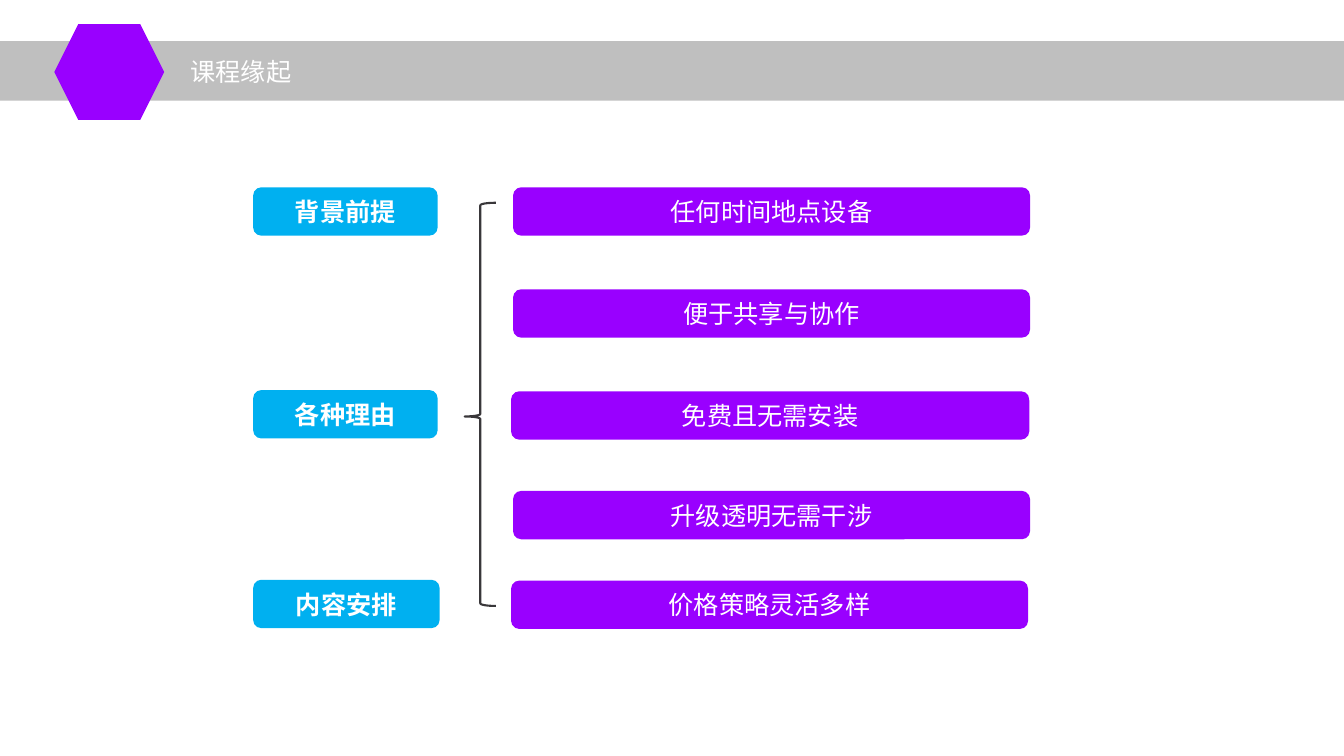
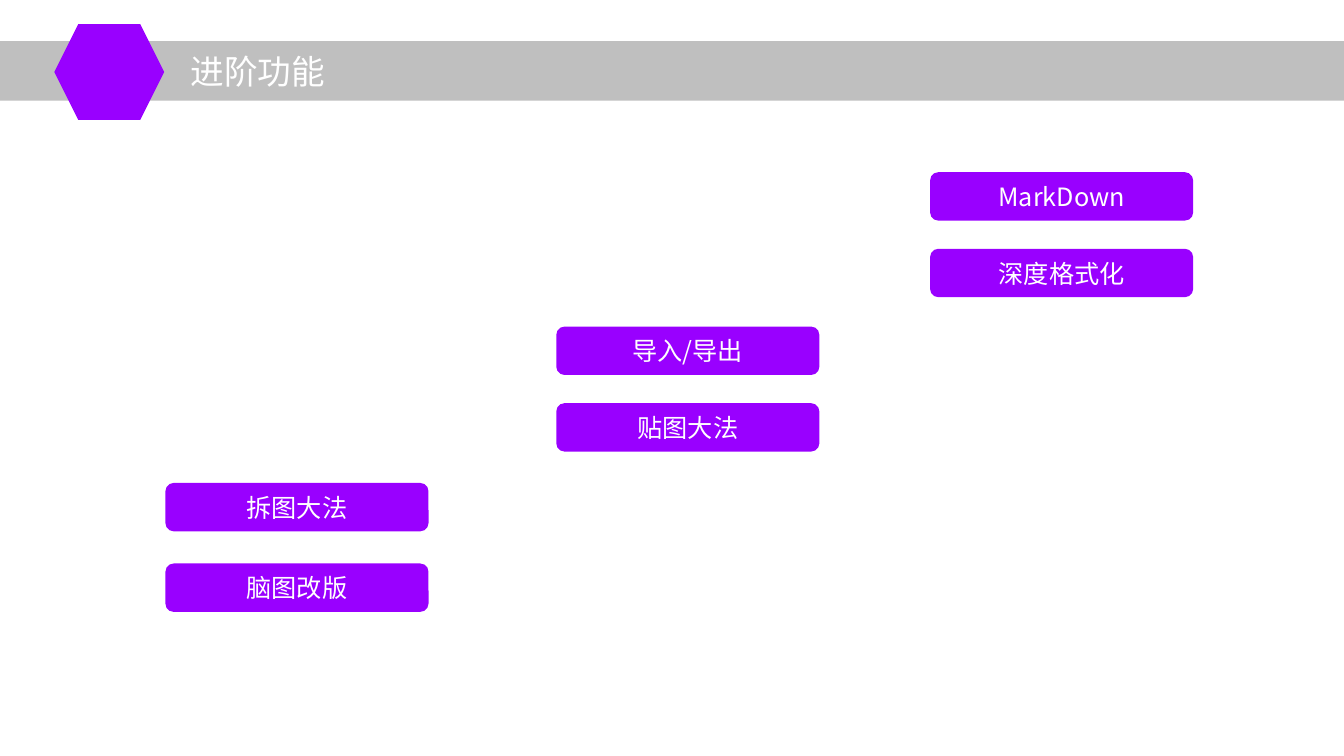
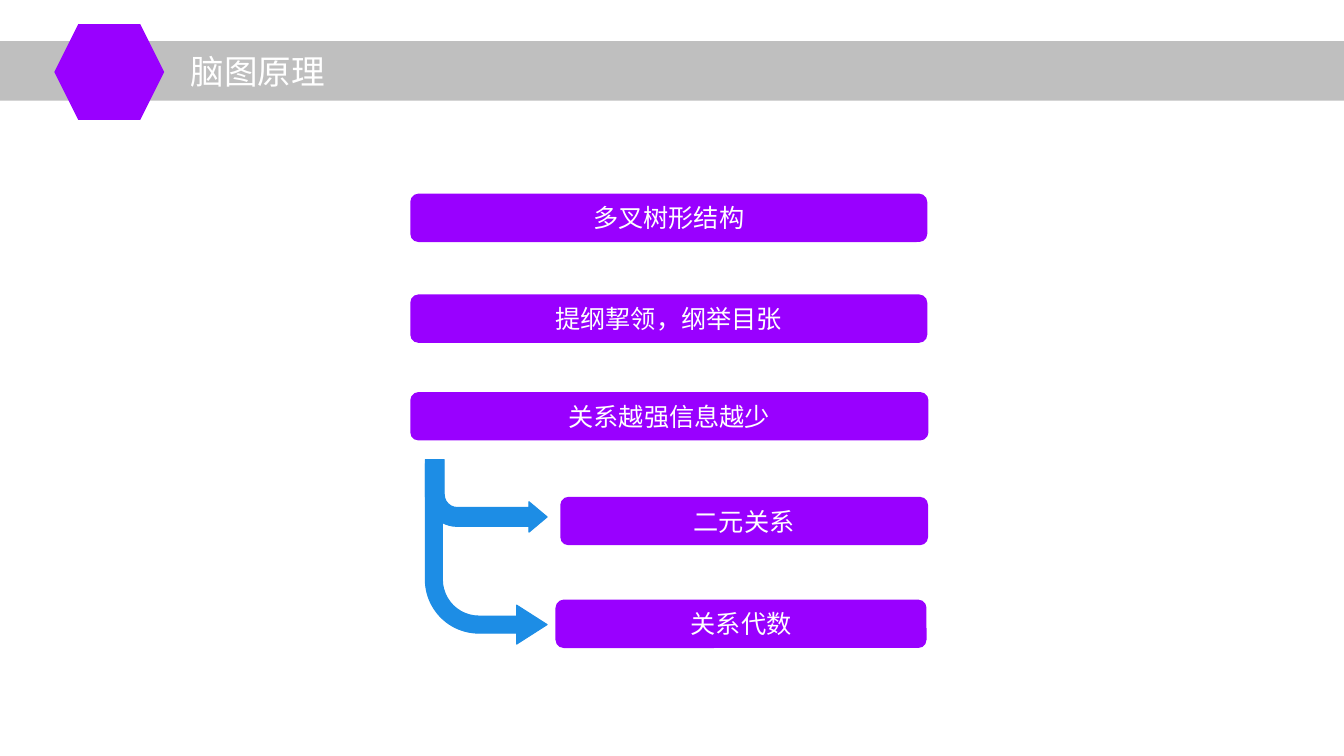
from dataclasses import dataclass

from lxml.etree import SubElement
from pptx import Presentation
from pptx.dml.color import RGBColor
from pptx.enum.shapes import MSO_SHAPE
from pptx.enum.text import MSO_ANCHOR, PP_ALIGN
from pptx.oxml.ns import qn
from pptx.shapes.autoshape import Shape
from pptx.slide import Slide
from pptx.text.text import TextFrame
from pptx.util import Cm, Pt

FONT = "Noto Sans CJK SC"
HUES = {
    "band": "BFBFBF",
    "main": "9900FF",
    "label": "00B0F0",
    "arrow": "1D8DE5",
    "brace": "39373A",
    "text": "FFFFFF",
}
WIDTH, HEIGHT = 33.87, 19.05
BAND_TOP, BAND_TALL = 1.04, 1.5
PILL_TALL = 1.22


@dataclass(frozen=True)
class Box:
    left: float
    top: float
    width: float
    height: float


@dataclass(frozen=True)
class Pill:
    text: str
    left: float
    top: float
    width: float
    hue: str = "main"
    bold: bool = False


@dataclass(frozen=True)
class Arrow:
    box: Box
    bends: tuple[float, ...]


@dataclass(frozen=True)
class Page:
    title: str
    size: int
    pills: tuple[Pill, ...]
    arrows: tuple[Arrow, ...] = ()
    brace: Box | None = None


def tint(name: str) -> RGBColor:
    return RGBColor.from_string(HUES[name])


def place(box: Box) -> tuple[Cm, Cm, Cm, Cm]:
    return Cm(box.left), Cm(box.top), Cm(box.width), Cm(box.height)


def add_form(slide: Slide, kind: MSO_SHAPE, box: Box, fill: str = "",
             line: str = "", weight: float = 0.75,
             bends: tuple[float, ...] = ()) -> Shape:
    form = slide.shapes.add_shape(kind, *place(box))
    form.shadow.inherit = False
    if fill:
        form.fill.solid()
        form.fill.fore_color.rgb = tint(fill)
    else:
        form.fill.background()
    if line:
        form.line.color.rgb = tint(line)
        form.line.width = Pt(weight)
    else:
        form.line.fill.background()
    for index, bend in enumerate(bends):
        form.adjustments[index] = bend
    return form


def write(frame: TextFrame, text: str, size: int, align: PP_ALIGN,
          bold: bool = False) -> None:
    frame.word_wrap = True
    frame.vertical_anchor = MSO_ANCHOR.MIDDLE
    line = frame.paragraphs[0]
    line.text = text
    line.alignment = align
    font = line.font
    font.name = FONT
    font.size = Pt(size)
    font.bold = bold
    font.color.rgb = tint("text")
    props = line._p.pPr.find(qn("a:defRPr"))
    SubElement(props, qn("a:ea")).set("typeface", FONT)


def add_head(slide: Slide, title: str, size: int) -> None:
    add_form(slide, MSO_SHAPE.RECTANGLE,
             Box(0, BAND_TOP, WIDTH, BAND_TALL), "band")
    add_form(slide, MSO_SHAPE.HEXAGON, Box(1.37, 0.61, 2.77, 2.41), "main")
    text = slide.shapes.add_textbox(
        *place(Box(4.55, BAND_TOP, 14.2, BAND_TALL)))
    write(text.text_frame, title, size, PP_ALIGN.LEFT)


def add_pill(slide: Slide, pill: Pill) -> None:
    box = Box(pill.left, pill.top, pill.width, PILL_TALL)
    form = add_form(slide, MSO_SHAPE.ROUNDED_RECTANGLE, box, pill.hue,
                    bends=(0.17,))
    frame = form.text_frame
    frame.margin_left = frame.margin_right = Cm(0)
    frame.margin_top = frame.margin_bottom = Cm(0)
    write(frame, pill.text, 18, PP_ALIGN.CENTER, pill.bold)


def add_arrow(slide: Slide, arrow: Arrow) -> None:
    form = add_form(slide, MSO_SHAPE.BENT_ARROW, arrow.box, "arrow", "arrow",
                    bends=arrow.bends)
    form.rotation = 180
    form._element.spPr.find(qn("a:xfrm")).set("flipH", "1")


def add_page(deck: Presentation, page: Page) -> None:
    slide = deck.slides.add_slide(deck.slide_layouts[6])
    add_head(slide, page.title, page.size)
    for pill in page.pills:
        add_pill(slide, pill)
    for arrow in page.arrows:
        add_arrow(slide, arrow)
    if page.brace:
        add_form(slide, MSO_SHAPE.LEFT_BRACE, page.brace, line="brace",
                 weight=1.5, bends=(0.08, 0.53))


PAGES = (
    Page(
        "课程缘起", 18,
        (
            Pill("背景前提", 6.38, 4.72, 4.65, "label", True),
            Pill("各种理由", 6.38, 9.83, 4.65, "label", True),
            Pill("内容安排", 6.38, 14.61, 4.7, "label", True),
            Pill("任何时间地点设备", 12.93, 4.72, 13.03),
            Pill("便于共享与协作", 12.93, 7.29, 13.03),
            Pill("免费且无需安装", 12.88, 9.86, 13.06),
            Pill("升级透明无需干涉", 12.93, 12.37, 13.03),
            Pill("价格策略灵活多样", 12.88, 14.63, 13.03),
        ),
        brace=Box(11.71, 5.11, 0.79, 10.16),
    ),
    Page(
        "进阶功能", 24,
        (
            Pill("MarkDown", 23.44, 4.34, 6.63),
            Pill("深度格式化", 23.44, 6.27, 6.63),
            Pill("导入/导出", 14.02, 8.23, 6.63),
            Pill("贴图大法", 14.02, 10.16, 6.63),
            Pill("拆图大法", 4.17, 12.17, 6.63),
            Pill("脑图改版", 4.17, 14.2, 6.63),
        ),
    ),
    Page(
        "脑图原理", 24,
        (
            Pill("多叉树形结构", 10.34, 4.88, 13.03),
            Pill("提纲挈领，纲举目张", 10.34, 7.42, 13.03),
            Pill("关系越强信息越少", 10.34, 9.88, 13.06),
            Pill("二元关系", 14.12, 12.52, 9.27),
            Pill("关系代数", 14, 15.11, 9.35),
        ),
        arrows=(
            Arrow(Box(10.72, 11.68, 3.07, 4.55), (0.14, 0.16, 0.25, 0.44)),
            Arrow(Box(10.72, 11.58, 3.07, 1.83), (0.26, 0.21, 0.25, 0.44)),
        ),
    ),
)


def main() -> None:
    deck = Presentation()
    deck.slide_width, deck.slide_height = Cm(WIDTH), Cm(HEIGHT)
    for page in PAGES:
        add_page(deck, page)
    deck.save("out.pptx")


if __name__ == "__main__":
    main()
